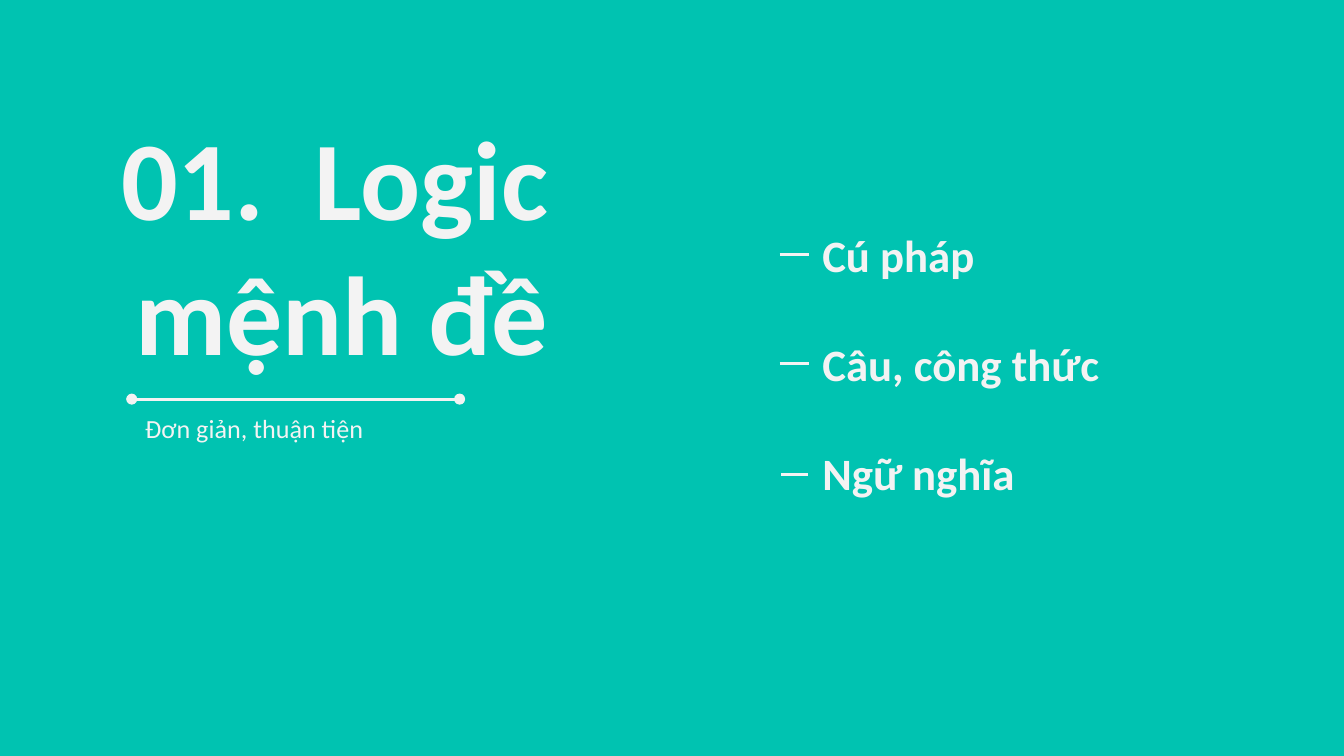
from lxml import etree
from pptx import Presentation
from pptx.dml.color import RGBColor
from pptx.enum import shapes, text
from pptx.oxml import ns
from pptx.util import Inches, Pt

TEAL = RGBColor(0x00, 0xC3, 0xB1)
PALE = RGBColor(0xF3, 0xF3, 0xF3)
FONT = "Calibri"

TITLE = "01.  Logic mệnh đề"
SUBTITLE = "Đơn giản, thuận tiện"
TOPICS = [
    ("Cú pháp", 2.26, (5.8, 6.02, 1.9)),
    ("Câu, công thức", 2.42, (5.8, 6.02, 2.71)),
    ("Ngữ nghĩa", 2.26, (5.81, 6.01, 3.53)),
]

TOPIC_LEFT, TOPIC_TOP, TOPIC_HEIGHT, TOPIC_STEP = 6.02, 1.55, 0.69, 0.81


def write(sp, content, box, size, bold, align, anchor):
    sp.left, sp.top, sp.width, sp.height = [Inches(v) for v in box]
    tf = sp.text_frame
    tf.word_wrap = True
    tf.auto_size = text.MSO_AUTO_SIZE.NONE
    tf.vertical_anchor = anchor
    tf.margin_left = tf.margin_right = tf.margin_top = tf.margin_bottom = Inches(0.1)
    tf.text = content
    p = tf.paragraphs[0]
    p.alignment = align
    p.space_before = Pt(0)
    f = p.runs[0].font
    f.name, f.size, f.bold = FONT, Pt(size), bold
    f.color.rgb = PALE


def rule(s, x1, x2, y, ends=None):
    c = s.shapes.add_connector(shapes.MSO_CONNECTOR.STRAIGHT,
                               Inches(x1), Inches(y), Inches(x2), Inches(y))
    c.line.color.rgb = PALE
    c.line.width = Pt(1.5)
    if ends:
        ln = c.line._get_or_add_ln()
        for tag in ("a:headEnd", "a:tailEnd"):
            etree.SubElement(ln, ns.qn(tag), type=ends)
    etree.SubElement(c._element.spPr, ns.qn("a:effectLst"))
    return c


def main():
    prs = Presentation()
    prs.slide_width = Inches(10)
    prs.slide_height = prs.slide_width * 9 // 16
    s = prs.slides.add_slide(prs.slide_layouts[0])
    s.background.fill.solid()
    s.background.fill.fore_color.rgb = TEAL

    left, right = text.PP_ALIGN.LEFT, text.PP_ALIGN.RIGHT
    top, middle = text.MSO_ANCHOR.TOP, text.MSO_ANCHOR.MIDDLE
    write(s.shapes.title, TITLE, (0.04, 0.06, 4.14, 3.5), 60, True, right, middle)
    write(s.placeholders[1], SUBTITLE, (0.98, 2.97, 3.11, 0.57), 14, False, left, top)
    rule(s, 0.98, 3.42, 2.97, "oval")

    for i, (topic, width, (x1, x2, y)) in enumerate(TOPICS):
        sp = s.shapes.add_textbox(0, 0, 0, 0)
        box = (TOPIC_LEFT, TOPIC_TOP + i * TOPIC_STEP, width, TOPIC_HEIGHT)
        write(sp, topic, box, 24, True, left, middle)
        dash = rule(s, x1, x2, y)
        if x2 == TOPIC_LEFT:
            dash.end_connect(sp, 1)
            dash.begin_y = dash.end_y

    prs.save("out.pptx")


if __name__ == "__main__":
    main()
